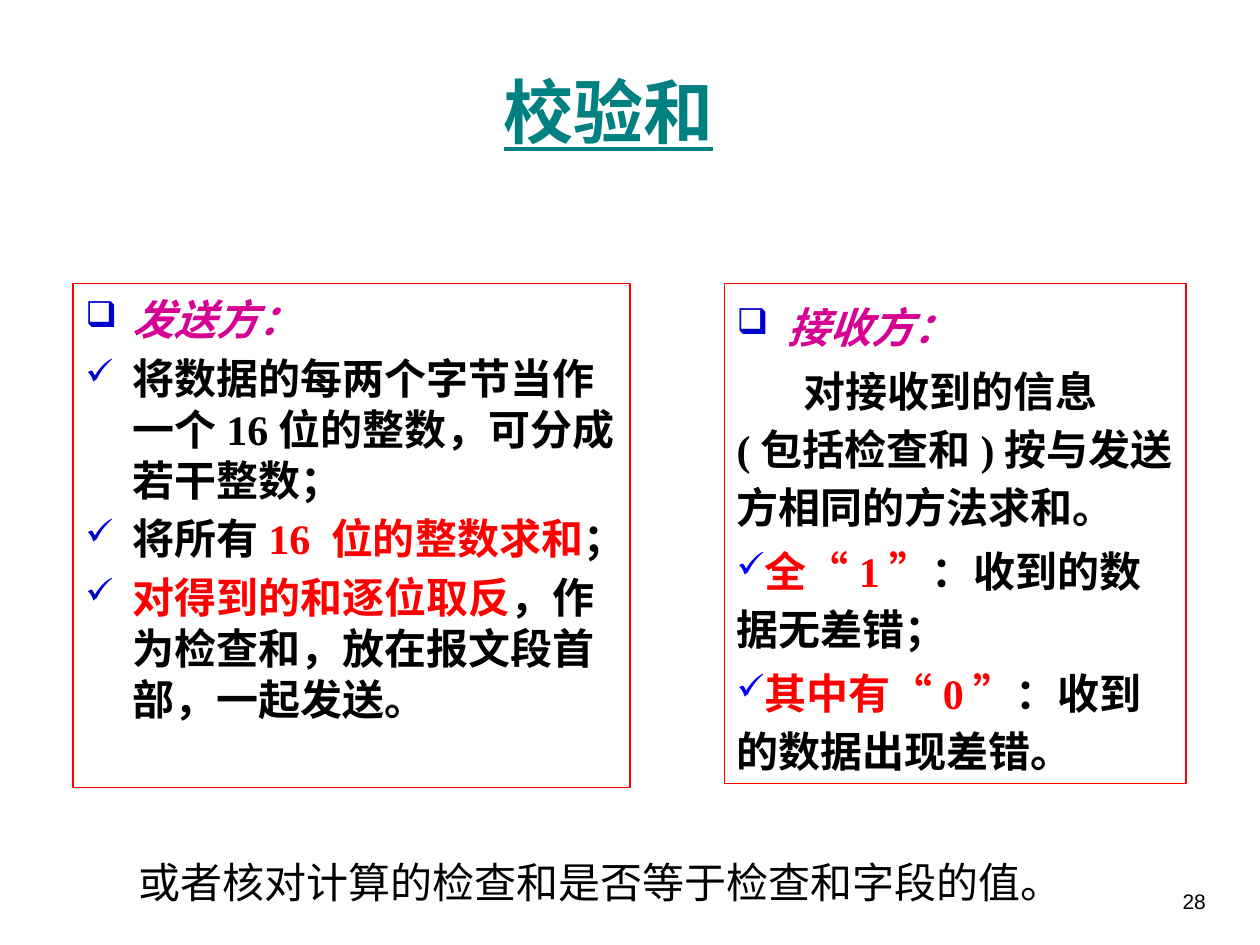
from lxml import etree
from pptx import Presentation
from pptx.dml.color import RGBColor
from pptx.enum import shapes, text
from pptx.oxml.ns import qn
from pptx.util import Cm, Pt

COLORS = {"teal": "008080", "black": "000000", "red": "FF0000",
          "pink": "D60093", "navy": "0000CC", "blue": "0000FF"}
CJK, SERIF = "Noto Sans CJK SC", "Times New Roman"

# Content: each paragraph has runs (text, colour, extra format) and a layout
HEAD = {"bullet": ("❑", "navy")}
LEFT_ITEM = {"bullet": ("✓", "navy")}
RIGHT_ITEM = {"bullet": ("✓", "blue"), "margin": 0, "indent": 0}


def verdict(subject, bit, result):
    return ([(subject, "red", {}), ("“", "red", {"font": CJK}), (bit, "red", {}),
             ("”", "red", {"font": CJK}), (result, "black", {})], RIGHT_ITEM)


SENDER = [
    ([("发送方：", "pink", {"font": CJK, "italic": True})], HEAD),
    ([("将数据的每两个字节当作一个16位的整数，可分成若干整数；", "black", {})], LEFT_ITEM),
    ([("将所有", "black", {}), ("16 位的整数求和", "red", {}), ("；", "black", {})], LEFT_ITEM),
    ([("对得到的和逐位取反", "red", {}),
      ("，作为检查和，放在报文段首部，一起发送。", "black", {})], LEFT_ITEM),
]
RECEIVER = [
    ([("接收方：", "pink", {"italic": True})], HEAD),
    ([("对接收到的信息 (包括检查和)按与发送方相同的方法求和。", "black", {})],
     {"margin": 0, "indent": 1.35}),
    verdict("全", "1", "：收到的数据无差错；"),
    verdict("其中有", "0", "：收到的数据出现差错。"),
]
PANELS = [  # paragraphs, box in cm, hanging indent, line pitch, space before
    (SENDER, (1.47, 5.72, 11.23, 10.16), 0.95, 28.9, 4.8),
    (RECEIVER, (14.6, 5.72, 9.31, 10.08), 1.03, 33.1, 3.6),
]
LABELS = [  # text, box in cm, format
    ("校验和", (1.47, 0.64, 21.59, 3.18),
     dict(size=40, color="teal", bold=True, underline=True, pitch=48,
          align=text.PP_ALIGN.CENTER, anchor=text.MSO_ANCHOR.MIDDLE)),
    ("或者核对计算的检查和是否等于检查和字段的值。", (2.54, 17.15, 20.75, 1.27),
     dict(font="Comic Neue", pitch=28.8)),
    ("28", (22.68, 17.78, 1.88, 1.27),
     dict(font="Arial", size=12, align=text.PP_ALIGN.RIGHT)),
]


def add_run(p, content, font=SERIF, size=24, color="black", bold=False,
            italic=False, underline=False):
    r = p.add_run()
    r.text = content
    f = r.font
    f.name, f.size, f.bold, f.italic, f.underline = font, Pt(size), bold, italic, underline
    f.color.rgb = RGBColor.from_string(COLORS[color])
    ea = etree.Element(qn("a:ea"), typeface=CJK)
    r._r.get_or_add_rPr().find(qn("a:latin")).addnext(ea)


def set_layout(p, margin, indent, bullet=None):
    pPr = p._p.get_or_add_pPr()
    pPr.set("marL", str(Cm(margin)))
    pPr.set("indent", str(Cm(indent)))
    if bullet:
        char, color = bullet
        clr = etree.SubElement(pPr, qn("a:buClr"))
        etree.SubElement(clr, qn("a:srgbClr"), val=COLORS[color])
        etree.SubElement(pPr, qn("a:buSzPct"), val="85000")
        etree.SubElement(pPr, qn("a:buChar"), char=char)


prs = Presentation()
prs.slide_width, prs.slide_height = Cm(25.4), Cm(19.05)
s = prs.slides.add_slide(prs.slide_layouts[6])

# Title, closing remark and page number
for content, box, fmt in LABELS:
    fmt = dict(fmt)
    tf = s.shapes.add_textbox(*map(Cm, box)).text_frame
    tf.word_wrap = True
    tf.vertical_anchor = fmt.pop("anchor", text.MSO_ANCHOR.TOP)
    p = tf.paragraphs[0]
    p.alignment = fmt.pop("align", text.PP_ALIGN.LEFT)
    pitch = fmt.pop("pitch", None)
    if pitch:
        p.line_spacing = Pt(pitch)
    add_run(p, content, **fmt)

# Sender and receiver panels
for paragraphs, box, hang, pitch, gap in PANELS:
    sp = s.shapes.add_shape(shapes.MSO_SHAPE.RECTANGLE, *map(Cm, box))
    sp.shadow.inherit = False
    sp.fill.background()
    sp.line.color.rgb = RGBColor.from_string(COLORS["red"])
    sp.line.width = Pt(0.75)
    tf = sp.text_frame
    tf.word_wrap = True
    tf.vertical_anchor = text.MSO_ANCHOR.TOP
    tf.margin_top = Cm(0.2)
    for i, (runs, layout) in enumerate(paragraphs):
        p = tf.add_paragraph() if i else tf.paragraphs[0]
        set_layout(p, **{"margin": hang, "indent": -hang, **layout})
        p.alignment = text.PP_ALIGN.LEFT
        p.line_spacing = Pt(pitch)
        if i:
            p.space_before = Pt(gap)
        for content, color, extra in runs:
            add_run(p, content, color=color, bold=True, **extra)

prs.save("out.pptx")
